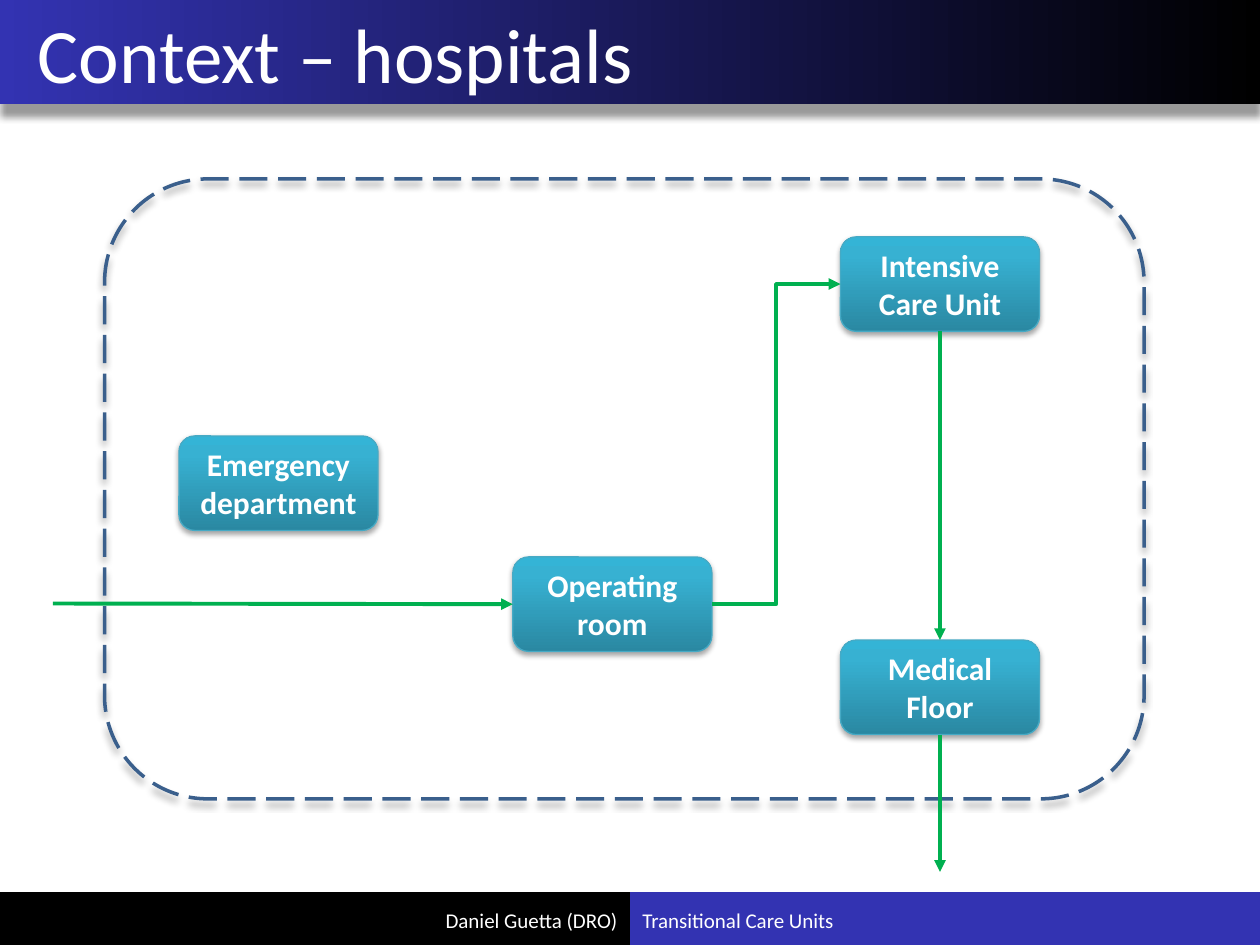
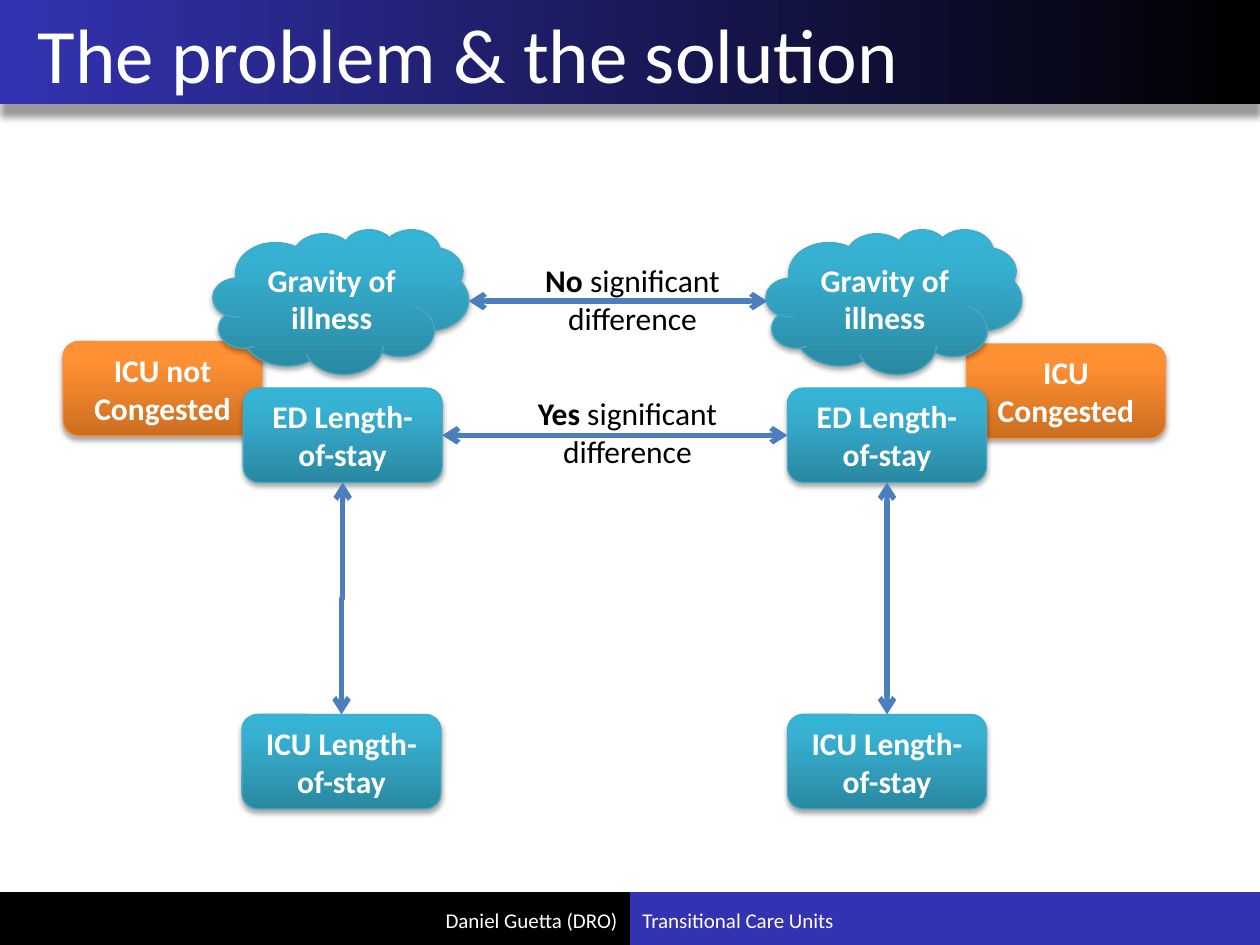
"""Build two slides on hospital flows and transitional care units."""
from dataclasses import dataclass

from lxml import etree
from pptx import Presentation
from pptx import util as u
from pptx.dml.color import RGBColor
from pptx.enum import dml, shapes, text
from pptx.oxml.ns import qn


@dataclass(frozen=True)
class Theme:
    font: str = "Calibri"
    title_size: int = 44
    body_size: int = 18
    footer_size: int = 12
    white: str = "FFFFFF"
    black: str = "000000"
    brand: str = "3333B2"
    outline: str = "3A5F8C"
    flow: str = "00B050"
    compare: str = "4B7EBC"
    band: tuple = ((0, "000000"), (100, "3333B2"))
    teal: tuple = ((0, "2A88A2"), (80, "37B1D2"), (100, "34B4D6"))
    teal_line: str = "46AAC5"
    orange: tuple = ((0, "CC6E20"), (80, "FF9034"), (100, "FF9136"))
    orange_line: str = "F69240"


T = Theme()
SLIDE_W, SLIDE_H = 10, 7.5
BAND_H, FOOT_H = 0.83, 0.42
BOX = (1.58, 0.75)
CLOUD = (2.03, 1.15)
TOP, LEFT, BOTTOM, RIGHT = range(4)
FOOTER = [("Daniel Guetta (DRO)", 1.17, text.PP_ALIGN.RIGHT),
          ("Transitional Care Units", 5, text.PP_ALIGN.LEFT)]

HOSPITAL = {
    "title": "Context – hospitals",
    "outline": (0.83, 1.42, 8.25, 4.92),
    "nodes": {
        "emergency": ("box", "Emergency department", 1.42, 3.46),
        "operating": ("box", "Operating room", 4.07, 4.42),
        "intensive": ("box", "Intensive Care Unit", 6.67, 1.88),
        "floor": ("box", "Medical Floor", 6.67, 5.08),
    },
    "link_style": (T.flow, 2.25, {"tail": "triangle"}),
    "links": [
        ("elbow", ("operating", RIGHT), ("intensive", LEFT)),
        ("straight", (0.42, 4.79), ("operating", LEFT)),
        ("straight", ("floor", BOTTOM), (7.46, 6.92)),
        ("straight", ("intensive", BOTTOM), ("floor", TOP)),
    ],
    "notes": [],
}
PROBLEM = {
    "title": "The problem & the solution",
    "outline": None,
    "nodes": {
        "congested": ("tag", "ICU Congested", 7.67, 2.73),
        "ed_right": ("box", "ED Length-of-stay", 6.25, 3.08),
        "not_congested": ("tag", "ICU not Congested", 0.5, 2.71),
        "ed_left": ("box", "ED Length-of-stay", 1.93, 3.08),
        "gravity_left": ("cloud", "Gravity of illness", 1.69, 1.82),
        "gravity_right": ("cloud", "Gravity of illness", 6.08, 1.82),
        "icu_left": ("box", "ICU Length-of-stay", 1.92, 5.67),
        "icu_right": ("box", "ICU Length-of-stay", 6.25, 5.67),
    },
    "link_style": (T.compare, 3, {"head": "arrow", "tail": "arrow"}),
    "links": [
        ("straight", (3.72, 2.39), (6.09, 2.39)),
        ("straight", ("ed_left", RIGHT), ("ed_right", LEFT)),
        ("upright", (2.72, 3.83), (2.71, 5.67)),
        ("straight", ("ed_right", BOTTOM), ("icu_right", TOP)),
    ],
    "notes": [("No", 4.12, 2.02), ("Yes", 4.08, 3.08)],
}

KINDS = {
    "box": (shapes.MSO_SHAPE.ROUNDED_RECTANGLE, BOX, T.teal, T.teal_line),
    "tag": (shapes.MSO_SHAPE.ROUNDED_RECTANGLE, BOX, T.orange, T.orange_line),
    "cloud": (shapes.MSO_SHAPE.CLOUD, CLOUD, T.teal, T.teal_line),
}


def inches(*values):
    return [u.Inches(v) for v in values]


def rgb(code):
    return RGBColor.from_string(code)


def add_shape(s, preset, at, line=None, width=0.75):
    sp = s.shapes.add_shape(preset, *inches(*at))
    sp.shadow.inherit = False
    if line:
        sp.line.color.rgb = rgb(line)
        sp.line.width = u.Pt(width)
    else:
        sp.line.fill.background()
    return sp


def fill_gradient(sp, stops, angle):
    sp.fill.gradient()
    sp.fill.gradient_angle = angle
    gs_lst = next(sp._element.spPr.iter(qn("a:gsLst")))
    for old in list(gs_lst):
        gs_lst.remove(old)
    for pos, color in stops:
        gs = etree.SubElement(gs_lst, qn("a:gs"), pos=str(pos * 1000))
        etree.SubElement(gs, qn("a:srgbClr"), val=color)


def add_shadow(sp, alpha, blur, dist):
    effects = sp._element.spPr.find(qn("a:effectLst"))
    shadow = etree.SubElement(
        effects, qn("a:outerShdw"), blurRad=str(u.Pt(blur)),
        dist=str(u.Pt(dist)), dir="5400000", rotWithShape="0")
    color = etree.SubElement(shadow, qn("a:srgbClr"), val=T.black)
    etree.SubElement(color, qn("a:alpha"), val=str(alpha * 1000))


def write(sp, runs, size, color=T.white, align=text.PP_ALIGN.CENTER,
          anchor=text.MSO_ANCHOR.MIDDLE):
    tf = sp.text_frame
    tf.word_wrap = True
    tf.vertical_anchor = anchor
    p = tf.paragraphs[0]
    p.alignment = align
    for words, bold in runs:
        r = p.add_run()
        r.text = words
        r.font.name, r.font.size, r.font.bold = T.font, u.Pt(size), bold
        r.font.color.rgb = rgb(color)
    return tf


def add_frame(s, title):
    rect = shapes.MSO_SHAPE.RECTANGLE
    band = add_shape(s, rect, (0, 0, SLIDE_W, BAND_H))
    fill_gradient(band, T.band, 180)
    add_shadow(band, 40, 4, 7)
    half = SLIDE_W / 2
    for x, color in ((half, T.brand), (0, T.black)):
        foot = add_shape(s, rect, (x, SLIDE_H - FOOT_H, half, FOOT_H))
        foot.fill.solid()
        foot.fill.fore_color.rgb = rgb(color)
    for words, x, align in FOOTER:
        sp = s.shapes.add_textbox(*inches(x, 7.1, 3.83, 0.4))
        write(sp, [(words, False)], T.footer_size, align=align)
    sp = s.shapes.add_textbox(*inches(0, 0, 9.75, BAND_H))
    tf = write(sp, [(title, False)], T.title_size, align=text.PP_ALIGN.LEFT)
    tf.margin_left = u.Inches(0.3)


def add_outline(s, at):
    sp = add_shape(s, shapes.MSO_SHAPE.ROUNDED_RECTANGLE, at, T.outline, 2)
    sp.fill.background()
    sp.line.dash_style = dml.MSO_LINE.LONG_DASH
    add_shadow(sp, 40, 4, 3)


def add_node(s, kind, words, x, y):
    preset, size, stops, line = KINDS[kind]
    sp = add_shape(s, preset, (x, y, *size), line)
    fill_gradient(sp, stops, 90)
    add_shadow(sp, 35, 3.1, 1.8)
    write(sp, [(words, True)], T.body_size)
    return sp


def add_link(s, nodes, kind, begin, end, style):
    color, width, heads = style
    ends = [(0, 0) if e[0] in nodes else e for e in (begin, end)]
    (x1, y1), (x2, y2) = ends
    if kind == "upright":
        cx, cy = (x1 + x2) / 2, (y1 + y2) / 2
        dx, dy = (y2 - y1) / 2, (x1 - x2) / 2
        x1, y1, x2, y2 = cx - dx, cy - dy, cx + dx, cy + dy
    route = shapes.MSO_CONNECTOR.STRAIGHT if kind == "straight" else shapes.MSO_CONNECTOR.ELBOW
    c = s.shapes.add_connector(route, *inches(x1, y1, x2, y2))
    if kind == "upright":
        c._element.spPr.find(qn("a:xfrm")).set("rot", "5400000")
    if begin[0] in nodes:
        c.begin_connect(nodes[begin[0]], begin[1])
    if end[0] in nodes:
        c.end_connect(nodes[end[0]], end[1])
    c.line.color.rgb = rgb(color)
    c.line.width = u.Pt(width)
    for name, arrow in heads.items():
        etree.SubElement(c.line._get_or_add_ln(), qn(f"a:{name}End"), type=arrow)
    etree.SubElement(c._element.spPr, qn("a:effectLst"))


def add_note(s, answer, x, y):
    sp = s.shapes.add_textbox(*inches(x, y, 1.8, 0.71))
    tf = write(sp, [(answer, True), (" significant difference", False)],
               T.body_size, T.black, anchor=text.MSO_ANCHOR.TOP)
    tf.auto_size = text.MSO_AUTO_SIZE.SHAPE_TO_FIT_TEXT


def build_slide(prs, content):
    s = prs.slides.add_slide(prs.slide_layouts[6])
    add_frame(s, content["title"])
    if content["outline"]:
        add_outline(s, content["outline"])
    nodes = {key: add_node(s, *node) for key, node in content["nodes"].items()}
    for link in content["links"]:
        add_link(s, nodes, *link, content["link_style"])
    for note in content["notes"]:
        add_note(s, *note)


def main():
    prs = Presentation()
    prs.slide_width, prs.slide_height = inches(SLIDE_W, SLIDE_H)
    for content in (HOSPITAL, PROBLEM):
        build_slide(prs, content)
    prs.save("out.pptx")


if __name__ == "__main__":
    main()
